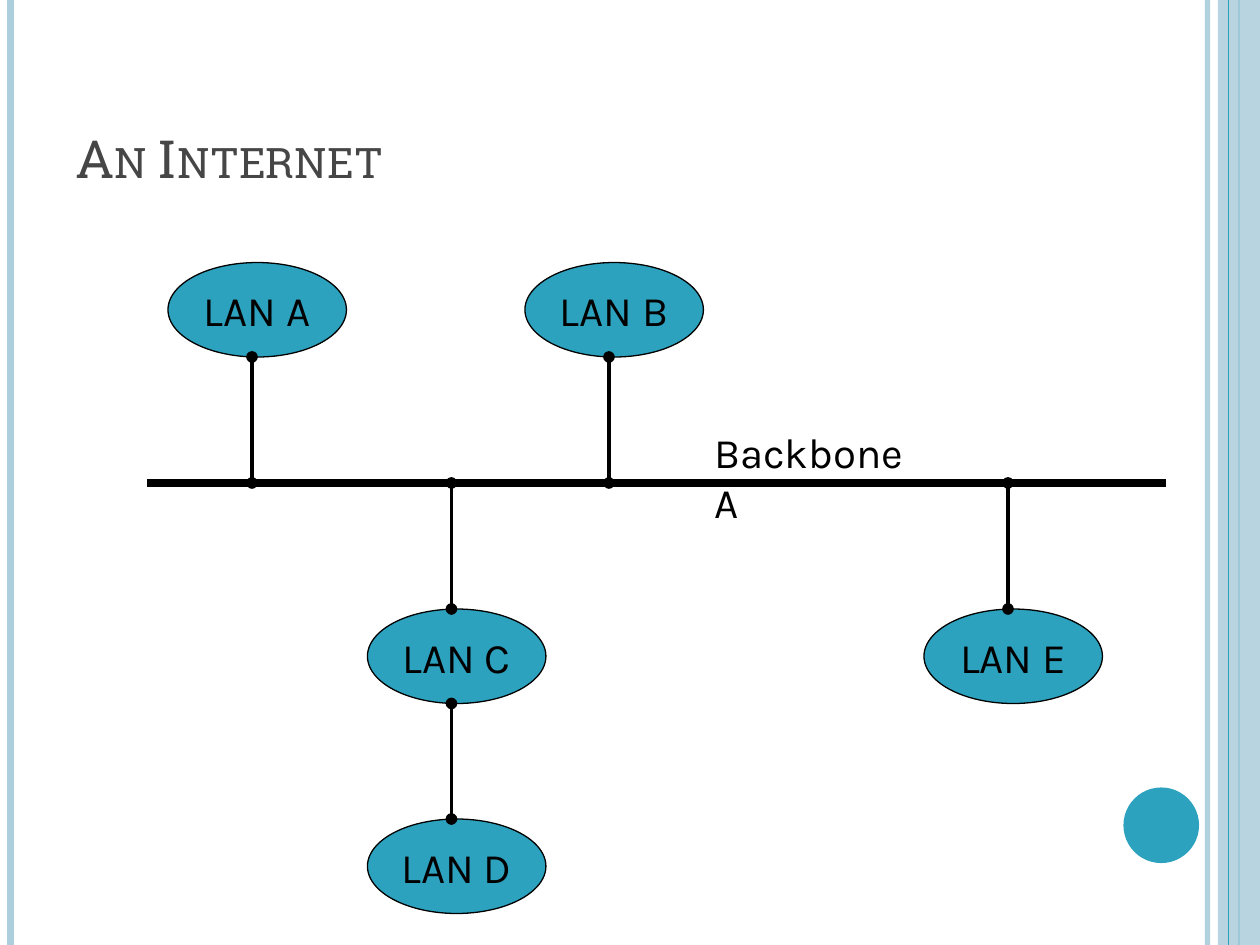
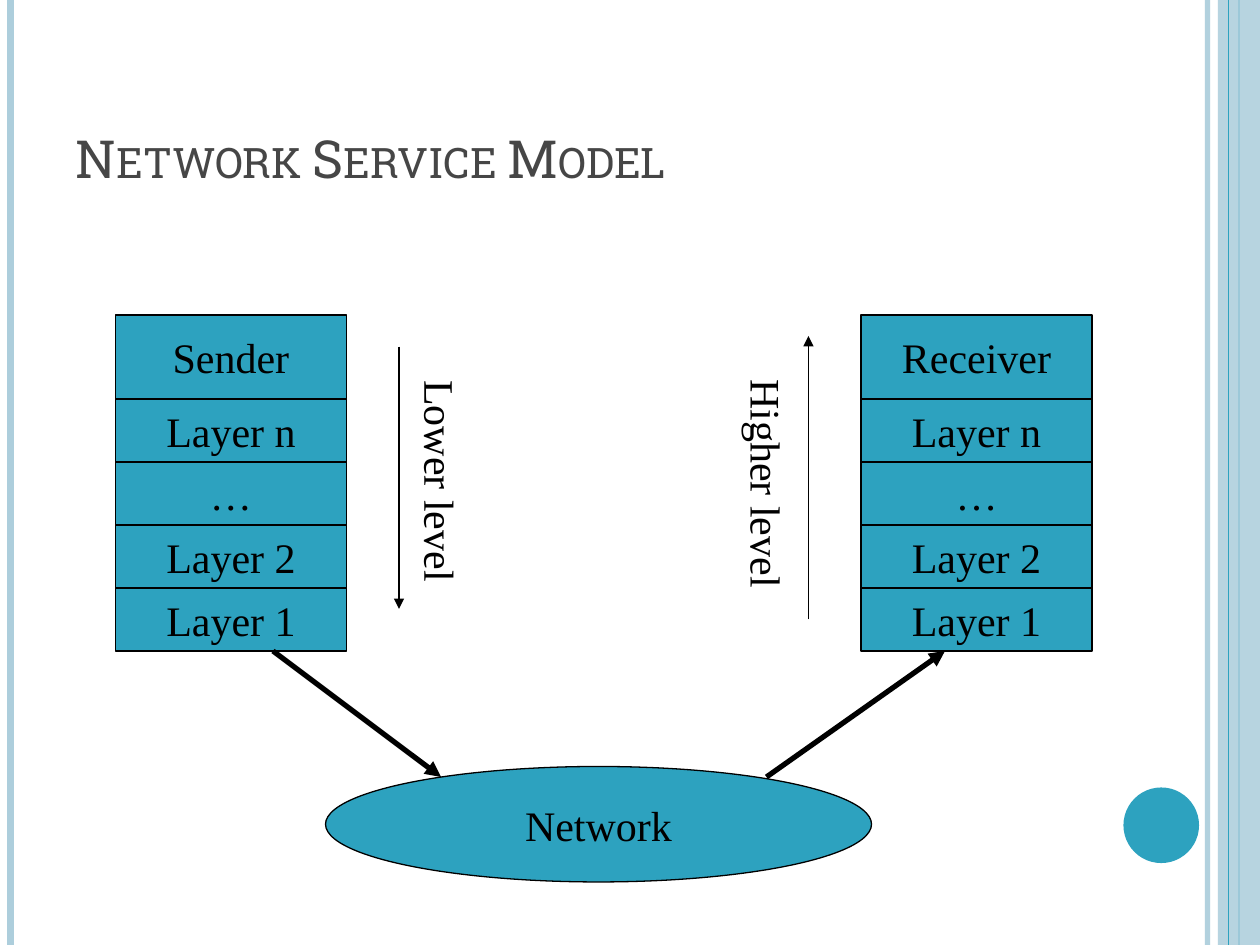
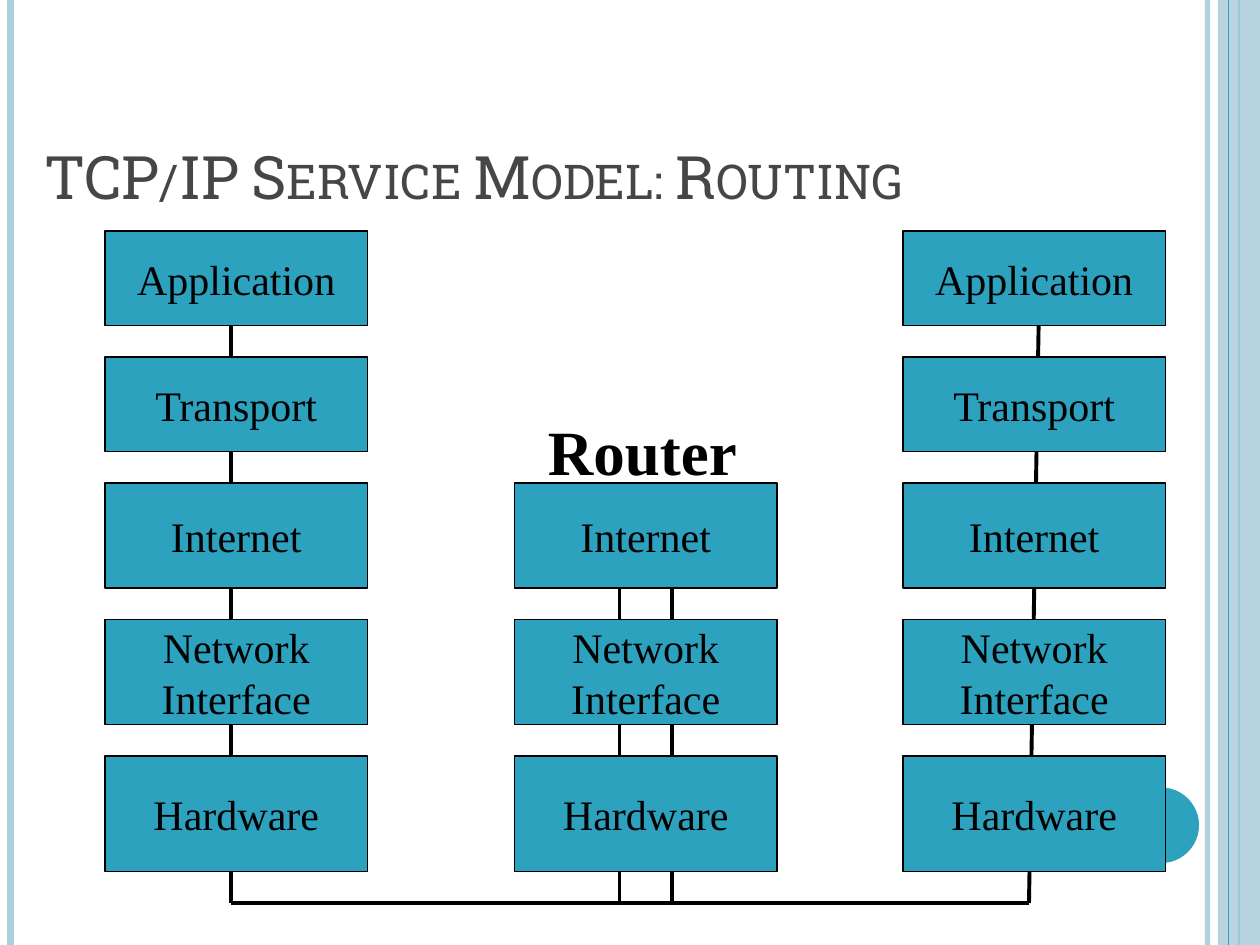
"""Build three slides on networks: an internet, a service model and routing."""
from lxml import etree
from pptx import Presentation
from pptx.dml.color import RGBColor
from pptx.enum import shapes, text
from pptx.oxml import ns
from pptx.util import Pt

COLOURS = {"accent": "2DA2BF", "pale": "ADCEDC", "title": "464646", "ink": "000000"}
TITLE_FONT, SANS, SERIF = "Roboto Slab", "Karla", "Times New Roman"
WIDTH, HEIGHT = 720, 540
RECTANGLE, OVAL = shapes.MSO_SHAPE.RECTANGLE, shapes.MSO_SHAPE.OVAL


def colour(name):
    return RGBColor.from_string(COLOURS[name])


def lengths(*values):
    return [Pt(value) for value in values]


def set_opacity(item, percent):
    for tint in item.element.xpath("./p:spPr//a:srgbClr"):
        etree.SubElement(tint, ns.qn("a:alpha"), val=str(percent * 1000))


def set_font(frame, name, size, tint="ink", align=text.PP_ALIGN.LEFT, bold=False):
    for para in frame.paragraphs:
        para.alignment = align
        para.font.name = name
        para.font.size = Pt(size)
        para.font.bold = bold
        para.font.color.rgb = colour(tint)


def add_line(page, start, end, width, tint="ink", head=None, tail=None):
    line = page.shapes.add_connector(
        shapes.MSO_CONNECTOR.STRAIGHT, *lengths(*start, *end))
    line.line.color.rgb = colour(tint)
    line.line.width = Pt(width)
    outline = line.element.xpath(".//a:ln")[0]
    for tag, kind in (("a:headEnd", head), ("a:tailEnd", tail)):
        if kind:
            etree.SubElement(outline, ns.qn(tag), type=kind)
    etree.SubElement(line.element.spPr, ns.qn("a:effectLst"))
    return line


def add_plain(page, kind, place, tint):
    box = page.shapes.add_shape(kind, *lengths(*place))
    box.shadow.inherit = False
    box.fill.solid()
    box.fill.fore_color.rgb = colour(tint)
    box.line.fill.background()
    return box


def add_node(page, kind, place, label, font=SERIF):
    box = add_plain(page, kind, place, "accent")
    box.line.color.rgb = colour("ink")
    box.line.width = Pt(0.75)
    frame = box.text_frame
    frame.text = label
    frame.word_wrap = False
    frame.vertical_anchor = text.MSO_ANCHOR.MIDDLE
    set_font(frame, font, 24, align=text.PP_ALIGN.CENTER)


def add_stack(page, left, top, width, layers, gap=0):
    for label, height in layers:
        add_node(page, RECTANGLE, (left, top, width, height), label)
        top += height + gap


def add_label(page, place, label, font=SERIF, size=24, bold=False, wrap=False, turn=0):
    box = page.shapes.add_textbox(*lengths(*place))
    box.rotation = turn
    box.text_frame.text = label
    box.text_frame.word_wrap = wrap
    set_font(box.text_frame, font, size, bold=bold)


def add_page(deck, title, place=(36, 21.6, 588, 90), size=30):
    page = deck.slides.add_slide(deck.slide_layouts[5])
    box = page.shapes.title
    box.left, box.top, box.width, box.height = lengths(*place)
    frame = box.text_frame
    frame.text = title
    frame.word_wrap = True
    frame.auto_size = text.MSO_AUTO_SIZE.NONE
    frame.vertical_anchor = text.MSO_ANCHOR.BOTTOM
    set_font(frame, TITLE_FONT, size, "title")
    for style in box.element.xpath(".//a:defRPr"):
        style.set("cap", "small")
    return page


def decorate_layout(page):
    def rule(x, width, tint):
        return add_line(page, (x, 0), (x, HEIGHT), width, tint)

    edge = rule(690, 3, "pale")
    set_opacity(edge, 93)
    parts = [edge, rule(6, 4.5, "pale"), rule(708, 1.5, "accent")]
    band = add_plain(page, RECTANGLE, (696, 0, 24, HEIGHT), "pale")
    set_opacity(band, 87)
    disc = add_plain(page, OVAL, (642, 450, 43.2, 43.2), "accent")
    parts += [band, rule(702, 0.75, "accent"), disc]
    for number, part in enumerate(parts, 101):
        part.element.xpath(".//p:cNvPr")[0].set("id", str(number))
        page.slide_layout.shapes.element.append(part.element)


def build_internet(deck):
    page = add_page(deck, "An Internet")
    decorate_layout(page)
    backbone, width, height = 276, 102, 54
    lans = {"A": (96, 150), "B": (300, 150), "C": (210, 348),
            "E": (528, 348), "D": (210, 468)}
    for name, (left, top) in lans.items():
        add_node(page, OVAL, (left, top, width, height), f"LAN {name}", SANS)
    add_line(page, (84, backbone), (666, backbone), 4.5)
    for name, (left, top) in lans.items():
        x = left + 48
        start = top + height if top < backbone else top
        end = lans["C"][1] + height if name == "D" else backbone
        add_line(page, (x, start), (x, end), 2.25, head="oval", tail="oval")
    add_label(page, (401, 240, 138, 36), "Backbone A", SANS, wrap=True)


def build_service_model(deck):
    page = add_page(deck, "Network Service Model")
    layers = [(label, 36) for label in ("Layer n", "…", "Layer 2", "Layer 1")]
    for left, role in ((66, "Sender"), (492, "Receiver")):
        add_stack(page, left, 180, 132, [(role, 48)] + layers)
    add_node(page, OVAL, (186, 438, 312, 66), "Network")
    arrows = [((156, 372), (252, 444), 3), ((438, 444), (540, 372), 3),
              ((228, 198), (228, 348), 0.75), ((462, 354), (462, 192), 0.75)]
    for start, end, width in arrows:
        add_line(page, start, end, width, tail="triangle")
    add_label(page, (187.2, 257, 129.6, 36), "Lower level", turn=90)
    add_label(page, (371.5, 258.5, 134, 36), "Higher level", turn=90)


def build_routing(deck):
    page = add_page(deck, "TCP/IP Service Model: Routing", (18, 72, 612, 52.6), 34.2)
    cable = 516
    drops = [((132, 168), 132), ((354, 288), 354), ((384, 312), 384), ((594, 156), 588)]
    for start, foot in drops:
        add_line(page, start, (foot, cable), 2.25)
    add_line(page, (132, cable), (588, cable), 2.25)
    layers = [("Application", 54), ("Transport", 54), ("Internet", 60),
              ("Network\nInterface", 60), ("Hardware", 66)]
    for left in (60, 516):
        add_stack(page, left, 132, 150, layers, 18)
    add_stack(page, 294, 276, 150, layers[2:], 18)
    add_label(page, (306, 232, 122.4, 50.4), "Router", size=36, bold=True)


def main():
    deck = Presentation()
    deck.slide_width, deck.slide_height = lengths(WIDTH, HEIGHT)
    build_internet(deck)
    build_service_model(deck)
    build_routing(deck)
    deck.save("out.pptx")


main()
